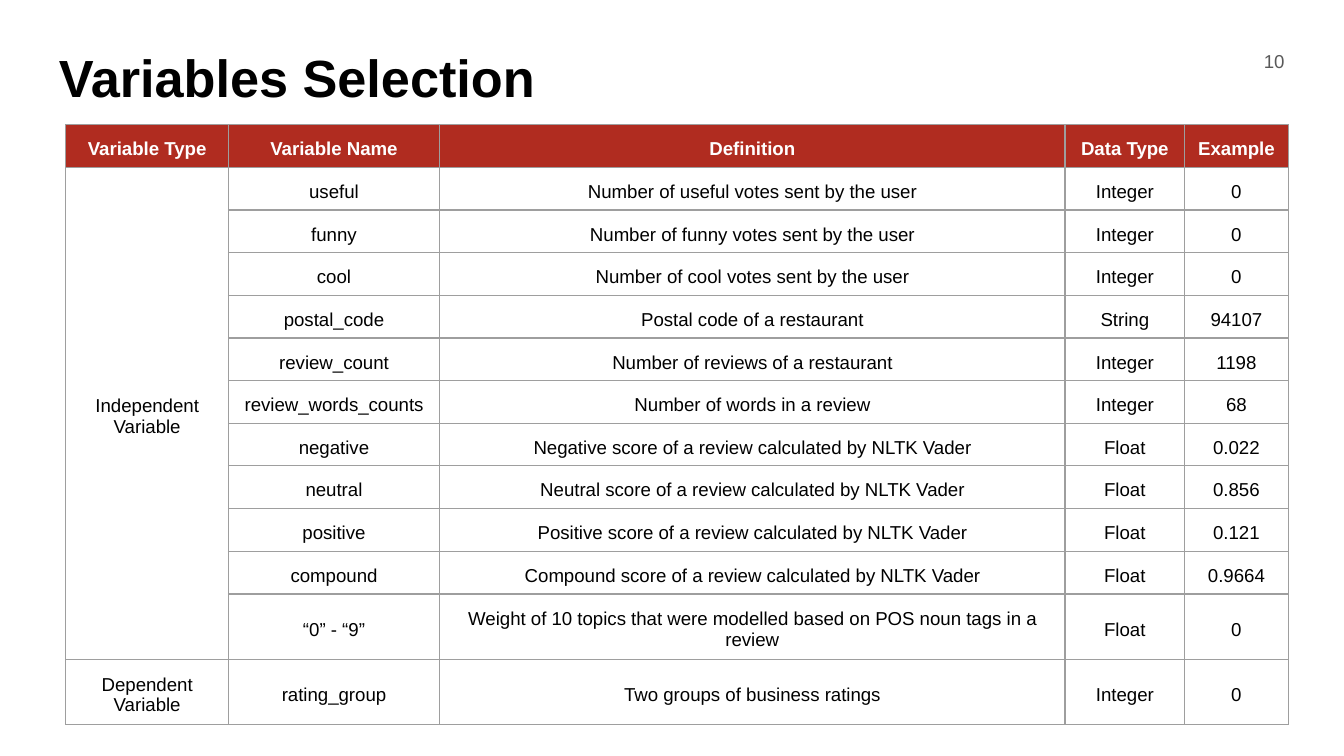
"""Build the Variables Selection slide with its table of variables."""
import lxml.etree
import pptx
import pptx.dml.color
import pptx.enum.text
import pptx.oxml.ns
import pptx.util

Pt = pptx.util.Pt
ALIGN = pptx.enum.text.PP_ALIGN
ANCHOR = pptx.enum.text.MSO_ANCHOR
qn = pptx.oxml.ns.qn


def color(value):
    return pptx.dml.color.RGBColor.from_string(value)


def format_text(p, size, fill, bold=False, align=ALIGN.LEFT):
    p.alignment = align
    for r in p.runs:
        r.font.name = "Arial"
        r.font.size = Pt(size)
        r.font.bold = bold
        r.font.color.rgb = color(fill)


prs = pptx.Presentation()
prs.slide_width, prs.slide_height = Pt(720), Pt(405)
s = prs.slides.add_slide(prs.slide_layouts[6])

labels = [
    ("Variables Selection", 24.5, 671, 45.4, 28, "000000", True, ALIGN.LEFT, ANCHOR.TOP),
    ("10", 652, 43.2, 31, 10, "595959", False, ALIGN.RIGHT, ANCHOR.MIDDLE),
]
for text, left, width, height, size, fill, bold, align, anchor in labels:
    sp = s.shapes.add_textbox(Pt(left), Pt(17.3), Pt(width), Pt(height))
    tf = sp.text_frame
    tf.word_wrap = True
    tf.vertical_anchor = anchor
    tf.margin_left = tf.margin_right = tf.margin_top = tf.margin_bottom = Pt(7.2)
    tf.text = text
    format_text(tf.paragraphs[0], size, fill, bold, align)

score = "score of a review calculated by NLTK Vader"
rows = [
    ("Variable Type", "Variable Name", "Definition", "Data Type", "Example"),
    ("Independent Variable", "useful", "Number of useful votes sent by the user", "Integer", "0"),
    ("", "funny", "Number of funny votes sent by the user", "Integer", "0"),
    ("", "cool", "Number of cool votes sent by the user", "Integer", "0"),
    ("", "postal_code", "Postal code of a restaurant", "String", "94107"),
    ("", "review_count", "Number of reviews of a restaurant", "Integer", "1198"),
    ("", "review_words_counts", "Number of words in a review", "Integer", "68"),
    ("", "negative", f"Negative {score}", "Float", "0.022"),
    ("", "neutral", f"Neutral {score}", "Float", "0.856"),
    ("", "positive", f"Positive {score}", "Float", "0.121"),
    ("", "compound", f"Compound {score}", "Float", "0.9664"),
    ("", "“0” - “9”",
     "Weight of 10 topics that were modelled based on POS noun tags in a review", "Float", "0"),
    ("Dependent Variable", "rating_group", "Two groups of business ratings", "Integer", "0"),
]
widths = [87.2, 113, 335.2, 64, 55.6]
heights = [20.2] * 10 + [23, 31, 20.2]

frame = s.shapes.add_table(len(rows), len(widths), Pt(35.2), Pt(66.8),
                           Pt(sum(widths)), Pt(sum(heights)))
table = frame.table
table.horz_banding = False
for column, width in zip(table.columns, widths):
    column.width = Pt(width)
for row, height in zip(table.rows, heights):
    row.height = Pt(height)

for i, values in enumerate(rows):
    for j, value in enumerate(values):
        cell = table.cell(i, j)
        cell.vertical_anchor = ANCHOR.MIDDLE
        cell.margin_left = cell.margin_right = cell.margin_top = Pt(7.2)
        cell.margin_bottom = Pt(3.6)
        cell.text = value
        header = i == 0
        format_text(cell.text_frame.paragraphs[0], 10, "FFFFFF" if header else "000000",
                    header, ALIGN.CENTER)
        tcPr = cell._tc.get_or_add_tcPr()
        for side in ("a:lnL", "a:lnR", "a:lnT", "a:lnB"):
            ln = lxml.etree.SubElement(tcPr, qn(side), w=str(Pt(0.75)))
            solid = lxml.etree.SubElement(ln, qn("a:solidFill"))
            lxml.etree.SubElement(solid, qn("a:srgbClr"), val="9E9E9E")
        if header:
            cell.fill.solid()
            cell.fill.fore_color.rgb = color("B02C20")
        else:
            cell.fill.background()
table.cell(1, 0).merge(table.cell(11, 0))

prs.save("out.pptx")
